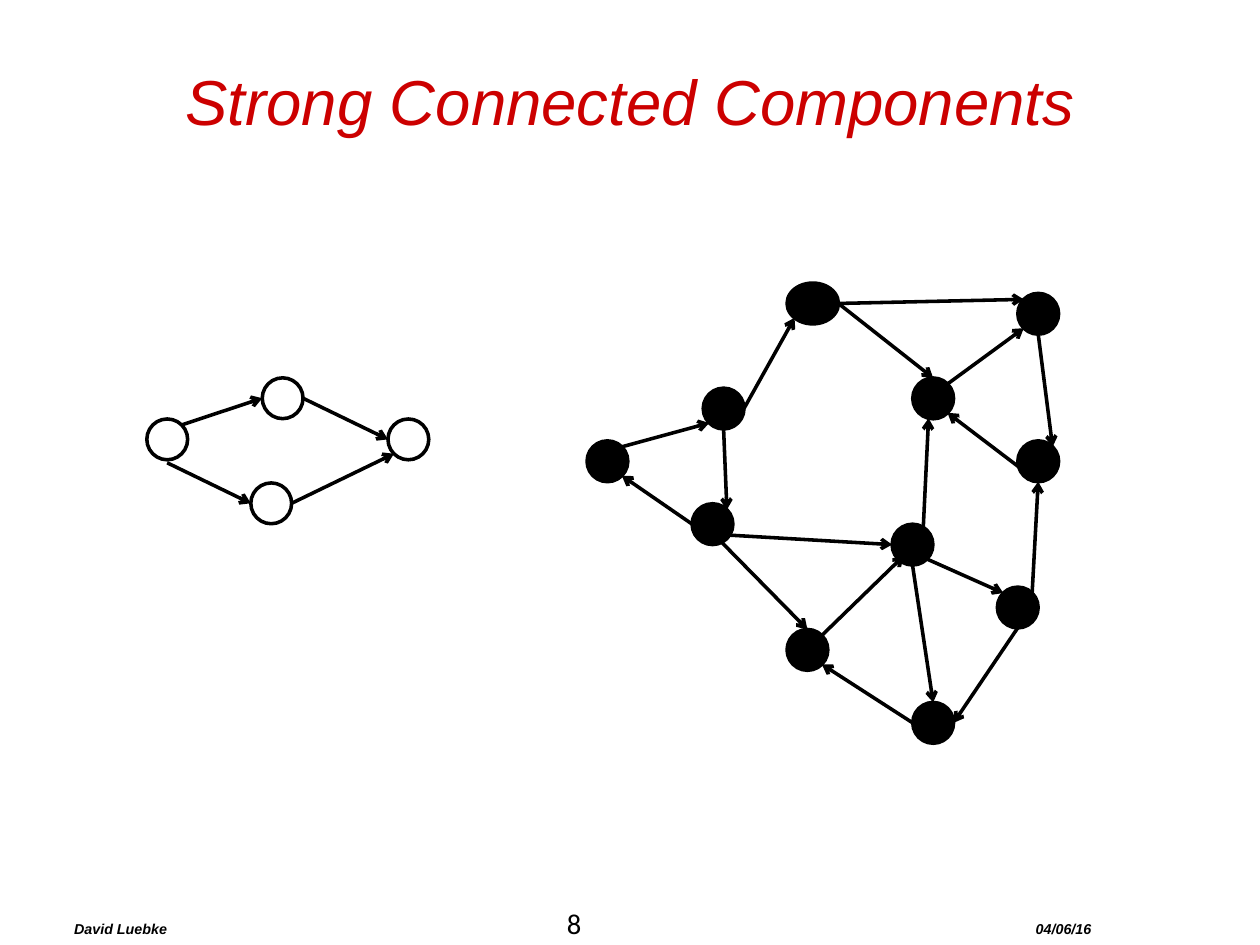
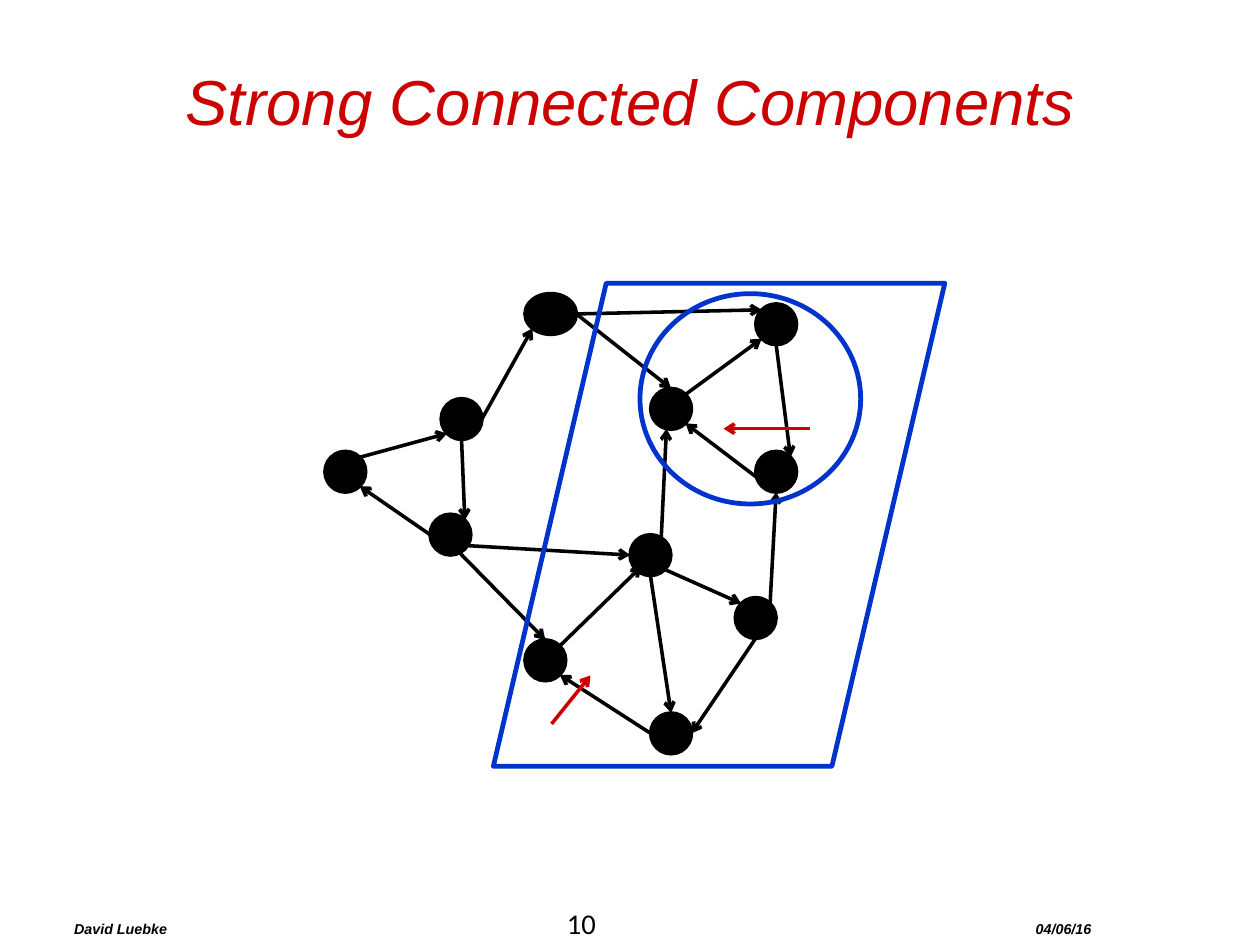
"""Build two slides on strongly connected components of a directed graph."""
import dataclasses
import math

import lxml.etree
import pptx
import pptx.dml.color
import pptx.enum.shapes
import pptx.enum.text
import pptx.oxml.ns
import pptx.util

Pt = pptx.util.Pt
SHAPE = pptx.enum.shapes.MSO_SHAPE
ALIGN = pptx.enum.text.PP_ALIGN
qn = pptx.oxml.ns.qn


@dataclasses.dataclass(frozen=True)
class Theme:
    black: str = "000000"
    red: str = "CC0000"
    blue: str = "0033CC"
    font: str = "Arial"
    number_font: str = "Calibri"
    title_size: float = 40
    footer_size: float = 9
    number_size: float = 18
    edge_width: float = 2.25
    outline_width: float = 3


WIDTH, HEIGHT = 793.75, 595.25
MARGIN, CONTENT_WIDTH = 39.6, 714.2
FOOTER_TABS = 310.4, 605.8
NODE = 25.7
E, NE, N, NW, W, SW, S, SE = range(0, 360, 45)

LARGE_NODES = {
    "a": (0, 99.4), "b": (73.2, 66.2), "c": (66.2, 139),
    "d": (126, 0, 32.4), "e": (205.2, 59.8), "f": (271.4, 6.5),
    "g": (271.4, 99.4), "h": (192.2, 151.9), "i": (258.5, 191.5),
    "j": (126, 218.2), "k": (205.2, 264.2),
}
LARGE_EDGES = [
    (("a", NE), ("b", SW)), (("b", S), ("c", NE)),
    (("c", W), ("a", SE)), (("b", E), ("d", SW)),
    (("e", NE), ("f", SW)), (("f", S), ("g", NE)),
    (("g", S), ("e", SE)), (("d", E), ("f", NW)),
    (("d", E), ("e", N)), (("i", NE), ("g", S)),
    (("h", SE), ("i", NW)), (("h", 58), ("e", 257)),
    (("i", S), ("k", E)), (("h", S), ("k", N)),
    (("k", W), ("j", SE)), (("j", NE), ("h", 232, 0.7)),
    (("c", 277, 0.5), ("j", N)), (("c", 277, 0.5), ("h", W)),
]
SMALL_NODES = {"p": (0, 25.9), "q": (72.7, 0), "r": (65.5, 66.2), "s": (151.9, 25.9)}
SMALL_EDGES = [
    (("p", NE), ("q", W)), (("p", S, 1.15), ("r", W)),
    (("q", E), ("s", W)), (("r", E), ("s", SW)),
]


class Deck:
    def __init__(self, theme):
        self.theme = theme
        self.prs = pptx.Presentation()
        self.prs.slide_width, self.prs.slide_height = Pt(WIDTH), Pt(HEIGHT)
        self.s = None

    def slide(self, title, author, number, date):
        t = self.theme
        self.s = self.prs.slides.add_slide(self.prs.slide_layouts[6])
        self.text(20.2, 85.7, [(title, dict(size=Pt(t.title_size), italic=True, name=t.font), t.red)],
                  ALIGN.CENTER)
        small = dict(size=Pt(t.footer_size), bold=True, italic=True, name=t.font)
        large = dict(size=Pt(t.number_size), name=t.number_font)
        p = self.text(568.3, 26.6, [(author + "\t", small, t.black), (number, large, t.black),
                                    ("\t" + date, small, t.black)], ALIGN.LEFT)
        tabs = lxml.etree.SubElement(p._p.get_or_add_pPr(), qn("a:tabLst"))
        for pos in FOOTER_TABS:
            lxml.etree.SubElement(tabs, qn("a:tab"), pos=str(Pt(pos)), algn="l")

    def text(self, top, height, runs, align):
        sp = self.s.shapes.add_textbox(Pt(MARGIN), Pt(top), Pt(CONTENT_WIDTH), Pt(height))
        tf = sp.text_frame
        tf.word_wrap = True
        tf.vertical_anchor = pptx.enum.text.MSO_ANCHOR.MIDDLE
        p = tf.paragraphs[0]
        p.alignment = align
        for text, formats, color in runs:
            r = p.add_run()
            r.text = text
            for name, value in formats.items():
                setattr(r.font, name, value)
            r.font.color.rgb = pptx.dml.color.RGBColor.from_string(color)
        return p

    def shape(self, kind, left, top, width, height, color, weight, filled=False):
        sp = self.s.shapes.add_shape(kind, Pt(left), Pt(top), Pt(width), Pt(height))
        sp.shadow.inherit = False
        rgb = pptx.dml.color.RGBColor.from_string(color)
        sp.line.color.rgb = rgb
        sp.line.width = Pt(weight)
        if filled:
            sp.fill.solid()
            sp.fill.fore_color.rgb = rgb
        else:
            sp.fill.background()

    def arrow(self, start, end, color):
        cn = self.s.shapes.add_connector(pptx.enum.shapes.MSO_CONNECTOR.STRAIGHT,
                                         *map(Pt, (*start, *end)))
        cn.line.color.rgb = pptx.dml.color.RGBColor.from_string(color)
        cn.line.width = Pt(self.theme.edge_width)
        lxml.etree.SubElement(cn.line._get_or_add_ln(), qn("a:tailEnd"), type="arrow")
        lxml.etree.SubElement(cn._element.spPr, qn("a:effectLst"))

    def graph(self, left, top, nodes, edges, filled):
        t = self.theme

        def port(name, angle, reach=1):
            x, y, width = (*nodes[name], NODE)[:3]
            turn = math.radians(angle)
            return (left + x + width / 2 * (1 + reach * math.cos(turn)),
                    top + y + NODE / 2 * (1 - reach * math.sin(turn)))

        for node in nodes.values():
            x, y, width = (*node, NODE)[:3]
            self.shape(SHAPE.OVAL, left + x, top + y, width, NODE, t.black, t.edge_width, filled)
        for start, end in edges:
            self.arrow(port(*start), port(*end), t.black)


def main():
    theme = Theme()
    deck = Deck(theme)
    title, author, date = "Strong Connected Components", "David Luebke", "04/06/16"

    deck.slide(title, author, "8", date)
    deck.graph(369.8, 178.3, LARGE_NODES, LARGE_EDGES, True)
    deck.graph(92.5, 238, SMALL_NODES, SMALL_EDGES, False)

    deck.slide(title, author, "10", date)
    deck.graph(204.7, 184.9, LARGE_NODES, LARGE_EDGES, True)
    deck.arrow((510, 270), (455.8, 270), theme.red)
    deck.arrow((347.5, 456), (372, 425.5), theme.red)
    deck.shape(SHAPE.OVAL, 403.2, 185, 139, 132.5, theme.blue, theme.outline_width)
    deck.shape(SHAPE.PARALLELOGRAM, 310.8, 178.4, 284.4, 304.3, theme.blue, theme.outline_width)

    deck.prs.save("out.pptx")


if __name__ == "__main__":
    main()
